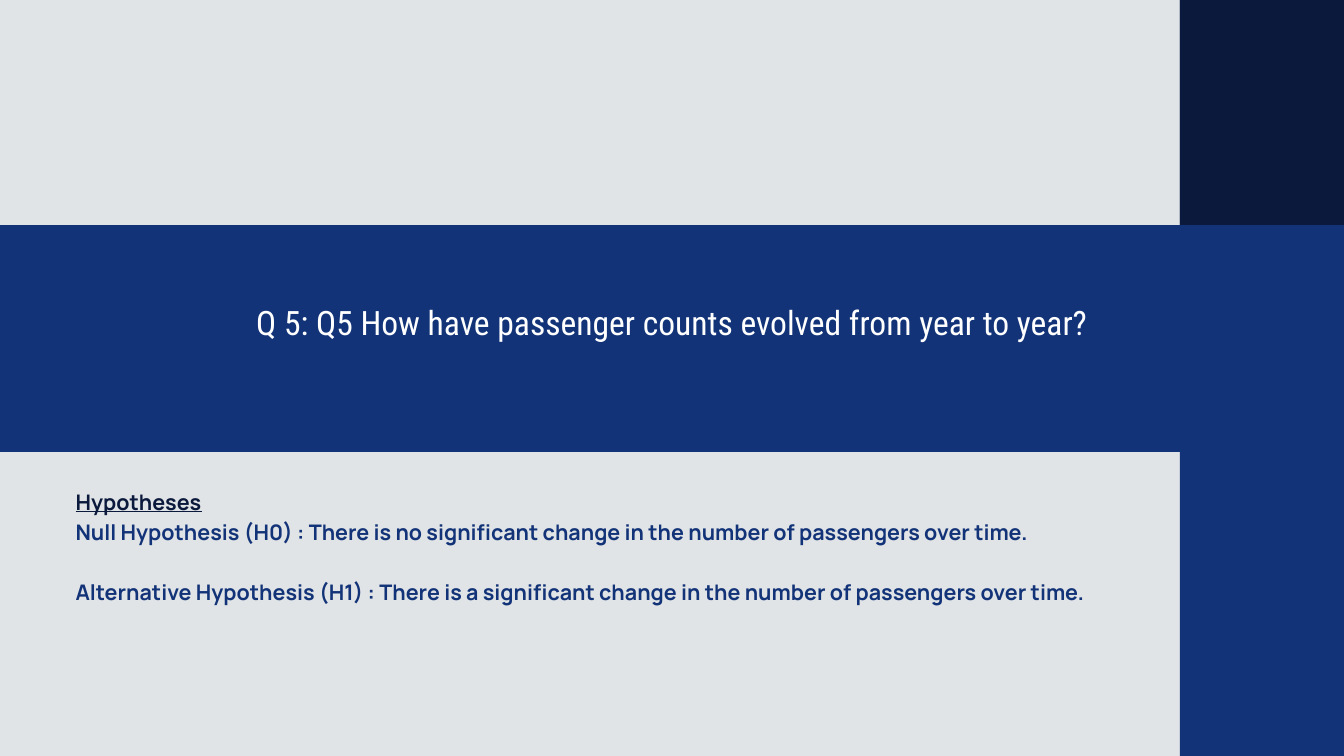
from dataclasses import dataclass

from lxml import etree
from pptx import Presentation
from pptx.dml.color import RGBColor
from pptx.enum import shapes, text
from pptx.oxml import ns
from pptx.util import Pt


@dataclass(frozen=True)
class Theme:
    """Colours, fonts and type sizes of the slide."""
    mist: RGBColor = RGBColor(0xC5, 0xCA, 0xCE)
    blue: RGBColor = RGBColor(0x12, 0x33, 0x78)
    navy: RGBColor = RGBColor(0x0A, 0x19, 0x3C)
    white: RGBColor = RGBColor(0xFF, 0xFF, 0xFF)
    title_font: str = "Roboto Condensed"
    body_font: str = "Manrope"
    title_size: float = 36
    body_size: float = 23
    title_leading: float = 50.4
    body_leading: float = 32.2


THEME = Theme()
WIDTH, HEIGHT = 1440, 810
SIDEBAR_LEFT = 1264.3
BAND_TOP, BAND_BOTTOM = 241.2, 484.2


def add_panel(slide, box, color, opacity=100):
    """Add a plain filled rectangle in the box."""
    panel = slide.shapes.add_shape(shapes.MSO_SHAPE.RECTANGLE, *map(Pt, box))
    panel.shadow.inherit = False
    panel.fill.solid()
    panel.fill.fore_color.rgb = color
    panel.line.fill.background()
    if opacity < 100:
        color_element = panel.element.find(".//" + ns.qn("a:srgbClr"))
        etree.SubElement(color_element, ns.qn("a:alpha"), val=str(opacity * 1000))
    return panel


def set_frame(shape, box, margin, anchor):
    """Place a text shape in the box and set up its frame."""
    shape.left, shape.top, shape.width, shape.height = map(Pt, box)
    frame = shape.text_frame
    frame.word_wrap = True
    frame.auto_size = text.MSO_AUTO_SIZE.NONE
    frame.vertical_anchor = anchor
    frame.margin_left = frame.margin_right = Pt(margin)
    frame.margin_top = frame.margin_bottom = Pt(margin)
    return frame


def add_run(paragraph, words, font_name, size, color, bold=False, underline=False):
    """Add one formatted run to a paragraph."""
    run = paragraph.add_run()
    run.text = words
    run.font.name = font_name
    run.font.size = Pt(size)
    run.font.color.rgb = color
    run.font.bold = bold
    run.font.underline = underline


def build_backdrop(slide, box):
    """Fill the box with the pale ground and the right-hand sidebar."""
    left, top, width, height = box
    add_panel(slide, box, THEME.mist, opacity=50)
    sidebar_width = left + width - SIDEBAR_LEFT
    add_panel(slide, (SIDEBAR_LEFT, top, sidebar_width, height), THEME.blue)
    add_panel(slide, (SIDEBAR_LEFT, top, sidebar_width, BAND_TOP - top), THEME.navy)


def build_title_band(slide, box, words):
    """Draw the band in the box with the title above it in the stack."""
    left, top, width, height = box
    band = add_panel(slide, box, THEME.blue)
    title = slide.shapes.title
    band.element.addnext(title.element)
    rise = 43.2
    frame = set_frame(title, (left, top - rise, width, height + rise), 4,
                      text.MSO_ANCHOR.MIDDLE)
    paragraph = frame.paragraphs[0]
    paragraph.alignment = text.PP_ALIGN.CENTER
    paragraph.line_spacing = Pt(THEME.title_leading)
    add_run(paragraph, words, THEME.title_font, THEME.title_size, THEME.white)


def build_hypotheses(slide, box, heading, statements):
    """Write the underlined heading and the spaced statements in the box."""
    shape = slide.shapes.add_textbox(*map(Pt, box))
    frame = set_frame(shape, box, 0, text.MSO_ANCHOR.TOP)
    paragraph = frame.paragraphs[0]
    paragraph.line_spacing = Pt(THEME.body_leading)
    add_run(paragraph, heading, THEME.body_font, THEME.body_size, THEME.navy,
            bold=True, underline=True)
    for index, statement in enumerate(statements):
        paragraph = frame.add_paragraph()
        paragraph.line_spacing = Pt(THEME.body_leading)
        paragraph.space_before = Pt(THEME.body_leading if index else 0)
        add_run(paragraph, statement, THEME.body_font, THEME.body_size,
                THEME.blue, bold=True)


def main():
    """Build and save the presentation."""
    presentation = Presentation()
    presentation.slide_width, presentation.slide_height = Pt(WIDTH), Pt(HEIGHT)
    slide = presentation.slides.add_slide(
        presentation.slide_layouts.get_by_name("Title Only"))
    build_backdrop(slide, (0, 0, WIDTH, HEIGHT))
    build_title_band(slide, (0, BAND_TOP, WIDTH, BAND_BOTTOM - BAND_TOP),
                     "Q 5: Q5 How have passenger counts evolved from year to year?")
    build_hypotheses(slide, (81, 519, 1102, 158), "Hypotheses", [
        "Null Hypothesis (H0) : There is no significant change in the number of passengers over time.",
        "Alternative Hypothesis (H1) : There is a significant change in the number of passengers over time.",
    ])
    presentation.save("out.pptx")


if __name__ == "__main__":
    main()
